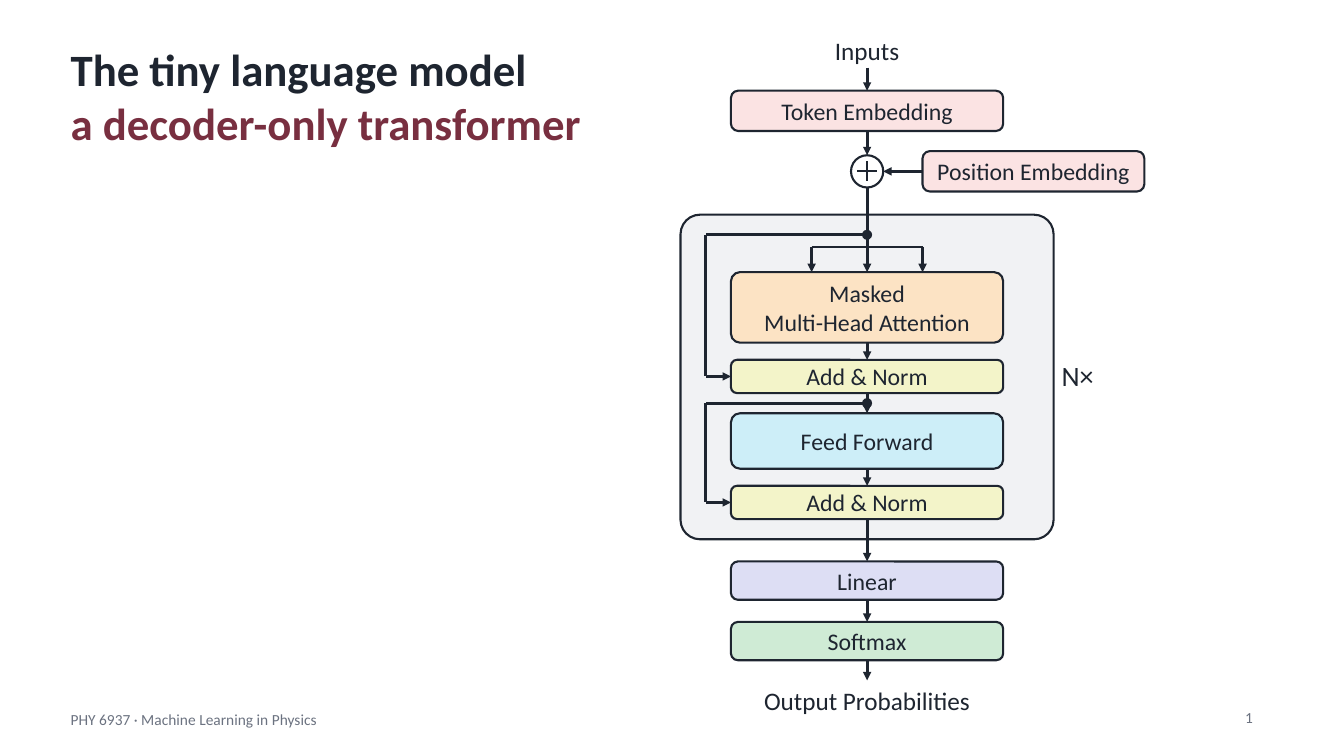
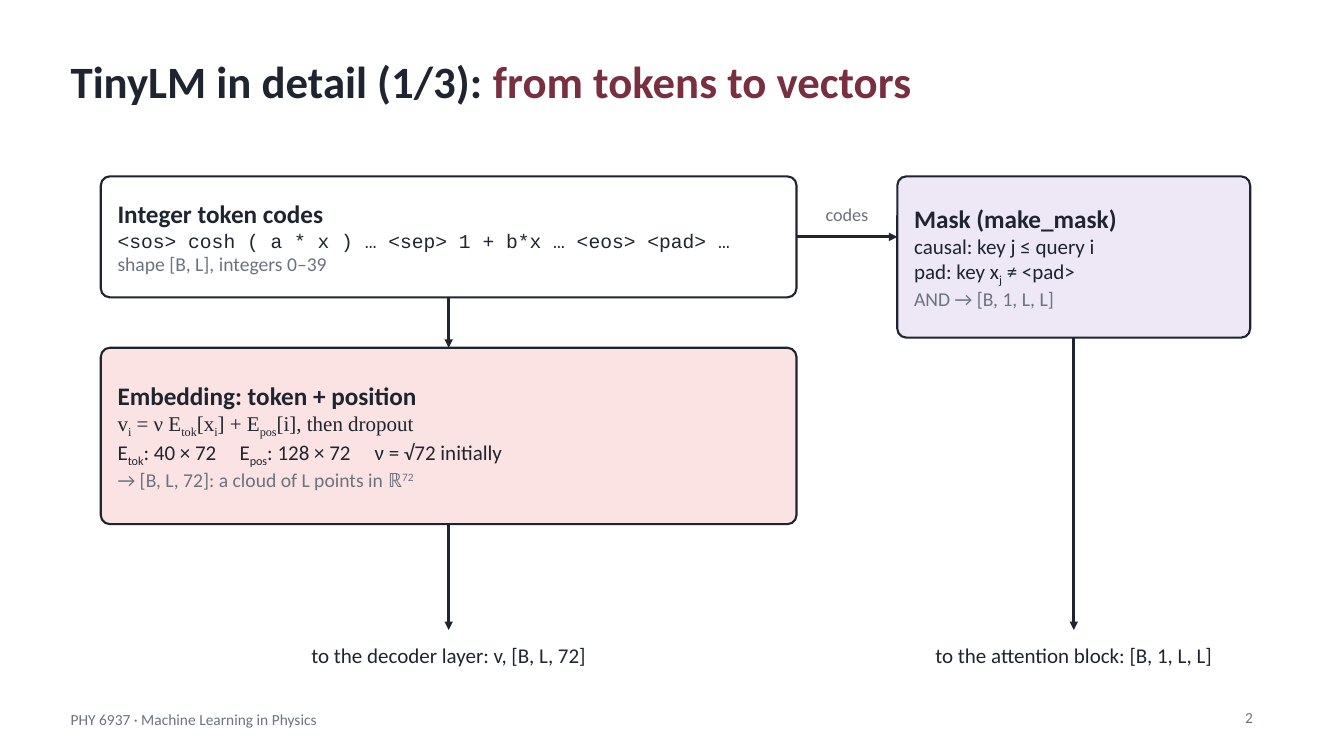
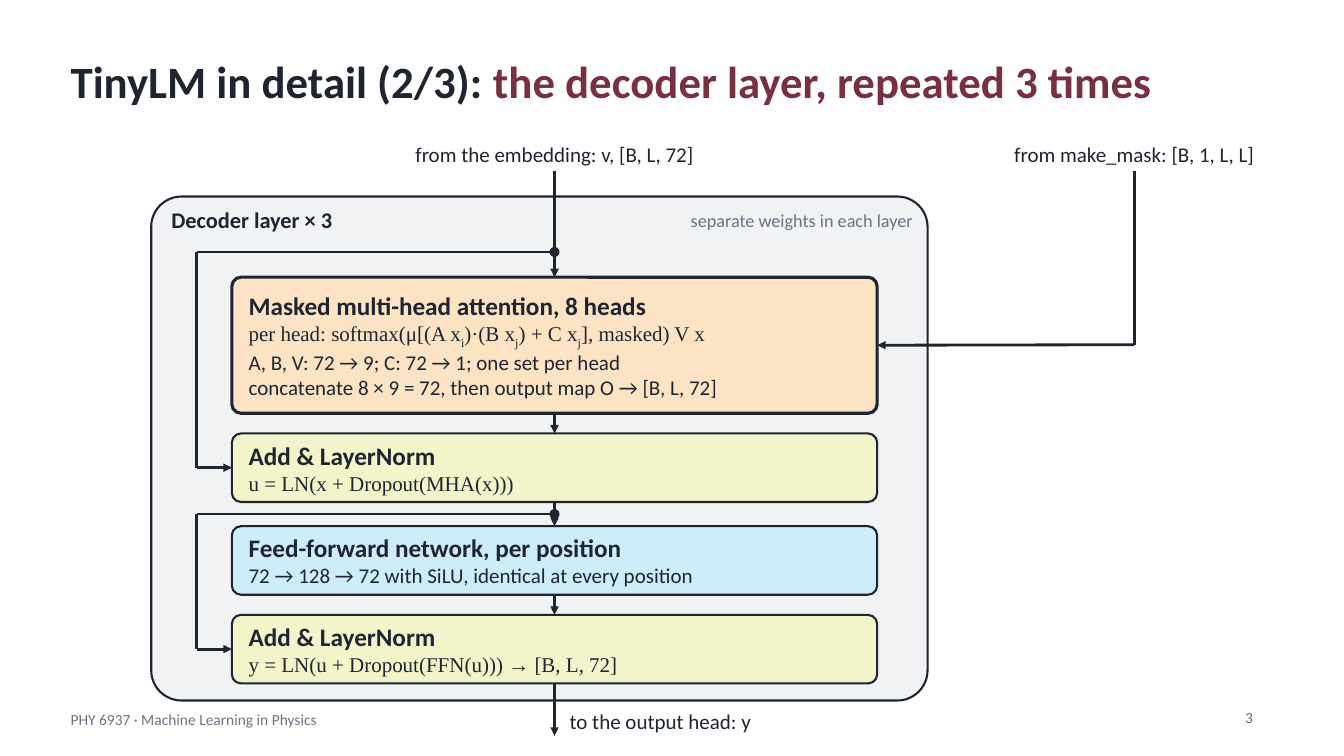
from dataclasses import dataclass
from itertools import pairwise

from lxml.etree import SubElement
from pptx import Presentation
from pptx.dml.color import RGBColor
from pptx.enum.shapes import MSO_CONNECTOR as Connector, MSO_SHAPE as Shape
from pptx.enum.text import MSO_ANCHOR as Anchor, MSO_AUTO_SIZE as AutoSize, PP_ALIGN as Align
from pptx.oxml.ns import qn
from pptx.util import Inches, Pt

INK, GRAY, GARNET, WHITE = "1E2530", "6B7280", "782F40", "FFFFFF"
PANEL, PINK, ORANGE, YELLOW = "F1F2F4", "FBE3E3", "FCE3C4", "F3F4C9"
BLUE, LAVENDER, GREEN, LILAC = "CDEEF8", "DDDEF4", "CFEBD5", "EDE7F6"
SANS, SERIF, MONO = "Calibri", "Times New Roman", "Courier New"
TOP, LEFT, BOTTOM, RIGHT = range(4)


def rgb(color):
    return RGBColor.from_string(color)


@dataclass
class Para:
    text: str
    size: float = 15
    font: str = SANS
    color: str = INK
    bold: bool = False
    tabs: tuple = ()


class Deck:
    footer = "PHY 6937 · Machine Learning in Physics"

    def __init__(self):
        self.prs = Presentation()
        self.prs.slide_width, self.prs.slide_height = Inches(13.33), Inches(7.5)

    def slide(self, lead, accent, width=12.13, height=0.95, stacked=False):
        self.s = self.prs.slides.add_slide(self.prs.slide_layouts[5])
        sp = self.s.shapes.title
        sp.left, sp.top, sp.width, sp.height = map(Inches, (0.6, 0.32, width, height))
        tf = sp.text_frame
        tf.auto_size, tf.vertical_anchor = AutoSize.NONE, Anchor.MIDDLE
        first = tf.paragraphs[0]
        last = tf.add_paragraph() if stacked else first
        for p, text, color in ((first, lead, INK), (last, accent, GARNET)):
            p.alignment = Align.LEFT
            self.style(p.font, Para(text, 32, bold=True))
            r = p.add_run()
            r.text = text
            r.font.color.rgb = rgb(color)
        self.label((0.7, 7.05, 3, 0.24), Para(self.footer, 11, color=GRAY), Align.LEFT, Anchor.TOP)
        self.page_number()

    def page_number(self):
        para = Para("", 11, color=GRAY)
        sp = self.label((12.35, 7.03, 0.3, 0.24), para, Align.LEFT, Anchor.TOP)
        r = sp.text_frame.paragraphs[0].add_run()
        r.text = str(len(self.prs.slides))
        self.style(r.font, para)
        r._r.tag = qn("a:fld")
        r._r.set("id", "{B6F15528-21DE-4FAA-801E-634DDDAF4B2B}")
        r._r.set("type", "slidenum")

    def style(self, font, para):
        font.name, font.size, font.bold = para.font, Pt(para.size), para.bold
        font.color.rgb = rgb(para.color)

    def set_text(self, tf, paras, align, inset=(0, 0), anchor=Anchor.MIDDLE):
        tf.word_wrap, tf.vertical_anchor = True, anchor
        tf.margin_left = tf.margin_right = Inches(inset[0])
        tf.margin_top = tf.margin_bottom = Inches(inset[1])
        for i, para in enumerate(paras):
            p = tf.add_paragraph() if i else tf.paragraphs[0]
            p.alignment = align
            if para.tabs:
                stops = SubElement(p._p.get_or_add_pPr(), qn("a:tabLst"))
                for x in para.tabs:
                    SubElement(stops, qn("a:tab"), pos=str(Inches(x)), algn="l")
            self.style(p.font, para)
            for chunk in para.text.split("}"):
                plain, _, script = chunk.partition("{")
                if plain:
                    p.add_run().text = plain
                if script:
                    r = p.add_run()
                    r.text = script[1:]
                    r._r.get_or_add_rPr().set("baseline", "30000" if script[0] == "^" else "-25000")

    def label(self, at, para, align=Align.CENTER, anchor=Anchor.MIDDLE):
        sp = self.s.shapes.add_textbox(*map(Inches, at))
        self.set_text(sp.text_frame, [para], align, anchor=anchor)
        return sp

    def shape(self, kind, at, fill, width=1.5):
        sp = self.s.shapes.add_shape(kind, *map(Inches, at))
        sp.shadow.inherit = False
        sp.fill.solid()
        sp.fill.fore_color.rgb = rgb(fill)
        if width:
            sp.line.color.rgb, sp.line.width = rgb(INK), Pt(width)
        else:
            sp.line.fill.background()
        return sp

    def panel(self, *at):
        self.shape(Shape.ROUNDED_RECTANGLE, at, PANEL).adjustments[0] = 0.06

    def box(self, at, fill, paras, align=Align.CENTER, inset=0.04, width=1.5):
        sp = self.shape(Shape.ROUNDED_RECTANGLE, at, fill, width)
        sp.adjustments[0] = min(0.18, 0.09 / at[3])
        self.set_text(sp.text_frame, paras, align, (inset, 0.04))
        return sp

    def block(self, at, fill, *lines):
        return self.box(at, fill, [Para(text, 17) for text in lines])

    def card(self, at, fill, heading, *paras, width=1.5):
        return self.box(at, fill, [Para(heading, 18, bold=True), *paras], Align.LEFT, 0.14, width)

    def line(self, x1, y1, x2, y2, arrow=False, width=2):
        c = self.s.shapes.add_connector(Connector.STRAIGHT, *map(Inches, (x1, y1, x2, y2)))
        c.line.color.rgb, c.line.width = rgb(INK), Pt(width)
        if arrow:
            SubElement(c.line._get_or_add_ln(), qn("a:tailEnd"), type="triangle")
        SubElement(c._element.spPr, qn("a:effectLst"))
        return c

    def arrow(self, *ends):
        return self.line(*ends, arrow=True)

    def link(self, a, b):
        c = self.arrow(0, 0, 1, 1)
        c.begin_connect(a, BOTTOM)
        c.end_connect(b, TOP)

    def flow(self, *shapes):
        for a, b in pairwise(shapes):
            self.link(a, b)

    def skip(self, trunk, y, side, target):
        middle = (target.top + target.height / 2) / Inches(1)
        self.line(trunk, y, side, y)
        self.line(side, y, side, middle)
        self.arrow(side, middle, target.left.inches, middle).end_connect(target, LEFT)
        self.shape(Shape.OVAL, (trunk - 0.05, y - 0.05, 0.1, 0.1), INK, 0)


def overview(d):
    d.slide("The tiny language model", "a decoder-only transformer", 6, 1.25, stacked=True)
    x, left, width = 8.6, 7.25, 2.7
    d.panel(6.75, 2.13, 3.7, 3.22)
    d.label((10.53, 3.5, 0.6, 0.45), Para("N×", 20), Align.LEFT)
    inputs = d.label((7.6, 0.32, 2, 0.35), Para("Inputs", 18))
    output = d.label((7, 6.75, 3.2, 0.4), Para("Output Probabilities", 18))
    stack = [
        d.block((left, top, width, height), fill, *lines)
        for top, height, fill, *lines in (
            (0.9, 0.4, PINK, "Token Embedding"),
            (2.7, 0.7, ORANGE, "Masked", "Multi-Head Attention"),
            (3.57, 0.33, YELLOW, "Add & Norm"),
            (4.1, 0.55, BLUE, "Feed Forward"),
            (4.82, 0.33, YELLOW, "Add & Norm"),
            (5.57, 0.38, LAVENDER, "Linear"),
            (6.17, 0.38, GREEN, "Softmax"),
        )
    ]
    token, attention, norm1, _, norm2, *_ = stack
    position = d.block((9.15, 1.5, 2.2, 0.4), PINK, "Position Embedding")
    d.flow(*stack[1:], output)

    d.arrow(x, 1.86, x, 2.7).end_connect(attention, TOP)
    d.line(x - 0.55, 2.45, x + 0.55, 2.45)
    for branch in (x - 0.55, x + 0.55):
        d.arrow(branch, 2.45, branch, 2.7)
    d.skip(x, 2.33, 7, norm1)
    d.skip(x, 4, 7, norm2)

    plus = d.shape(Shape.OVAL, (x - 0.16, 1.54, 0.32, 0.32), WHITE)
    d.line(x - 0.1, 1.7, x + 0.1, 1.7, width=1.5)
    d.line(x, 1.6, x, 1.8, width=1.5)
    d.arrow(9.15, 1.7, x + 0.16, 1.7).begin_connect(position, LEFT)
    d.flow(inputs, token, plus)


def embedding(d):
    d.slide("TinyLM in detail (1/3): ", "from tokens to vectors")
    codes = d.card(
        (1, 1.75, 6.9, 1.2), WHITE, "Integer token codes",
        Para("<sos> cosh ( a * x ) … <sep> 1 + b*x … <eos> <pad> …", 14, MONO),
        Para("shape [B, L], integers 0–39", 14, color=GRAY),
    )
    vectors = d.card(
        (1, 3.45, 6.9, 1.75), PINK, "Embedding: token + position",
        Para("v{_i} = ν E{_tok}[x{_i}] + E{_pos}[i], then dropout", font=SERIF),
        Para("E{_tok}: 40 × 72\tE{_pos}: 128 × 72\tν = √72 initially", tabs=(1.21, 2.55)),
        Para("→ [B, L, 72]: a cloud of L points in ℝ{^72}", 14, color=GRAY),
    )
    mask = d.card(
        (8.9, 1.75, 3.5, 1.6), LILAC, "Mask (make_mask)",
        Para("causal: key j ≤ query i"),
        Para("pad: key x{_j} ≠ <pad>"),
        Para("AND → [B, 1, L, L]", 14, color=GRAY),
    )
    d.link(codes, vectors)
    d.arrow(7.9, 2.35, 8.9, 2.35).begin_connect(codes, RIGHT)
    d.label((7.95, 1.95, 0.9, 0.35), Para("codes", 13, color=GRAY))
    for source, x, y, text in (
        (vectors, 4.45, 5.2, "to the decoder layer: v, [B, L, 72]"),
        (mask, 10.65, 3.35, "to the attention block: [B, 1, L, L]"),
    ):
        d.arrow(x, y, x, 6.25).begin_connect(source, BOTTOM)
        d.label((x - 2, 6.3, 4, 0.4), Para(text))


def decoder(d):
    d.slide("TinyLM in detail (2/3): ", "the decoder layer, repeated 3 times")
    x, left, width = 5.5, 2.3, 6.4
    d.label((3, 1.38, 5, 0.3), Para("from the embedding: v, [B, L, 72]"))
    d.label((9.55, 1.38, 3.4, 0.3), Para("from make_mask: [B, 1, L, L]"))
    d.panel(1.5, 1.95, 7.7, 5)
    d.label((1.7, 2.02, 3, 0.32), Para("Decoder layer × 3", 16, bold=True), Align.LEFT)
    d.label((5.6, 2.02, 3.45, 0.32), Para("separate weights in each layer", 13, color=GRAY), Align.RIGHT)
    attention = d.card(
        (left, 2.75, width, 1.35), ORANGE, "Masked multi-head attention, 8 heads",
        Para("per head: softmax(μ[(A x{_i})·(B x{_j}) + C x{_j}], masked) V x", font=SERIF),
        Para("A, B, V: 72 → 9; C: 72 → 1; one set per head"),
        Para("concatenate 8 × 9 = 72, then output map O → [B, L, 72]"),
        width=2.25,
    )
    norm1, forward, norm2 = (
        d.card((left, top, width, 0.68), fill, heading, Para(text, font=font))
        for top, fill, heading, text, font in (
            (4.3, YELLOW, "Add & LayerNorm", "u = LN(x + Dropout(MHA(x)))", SERIF),
            (5.22, BLUE, "Feed-forward network, per position",
             "72 → 128 → 72 with SiLU, identical at every position", SANS),
            (6.1, YELLOW, "Add & LayerNorm", "y = LN(u + Dropout(FFN(u))) → [B, L, 72]", SERIF),
        )
    )
    d.arrow(x, 1.7, x, 2.75).end_connect(attention, TOP)
    d.flow(attention, norm1, forward, norm2)
    d.skip(x, 2.5, 1.95, norm1)
    d.skip(x, 5.1, 1.95, norm2)
    d.arrow(x, 6.78, x, 7.3).begin_connect(norm2, BOTTOM)
    d.label((5.65, 7, 3, 0.3), Para("to the output head: y"), Align.LEFT)
    d.line(11.25, 1.7, 11.25, 3.42)
    d.arrow(11.25, 3.42, 8.7, 3.42).end_connect(attention, RIGHT)


def main():
    d = Deck()
    for build in (overview, embedding, decoder):
        build(d)
    d.prs.save("out.pptx")


if __name__ == "__main__":
    main()
